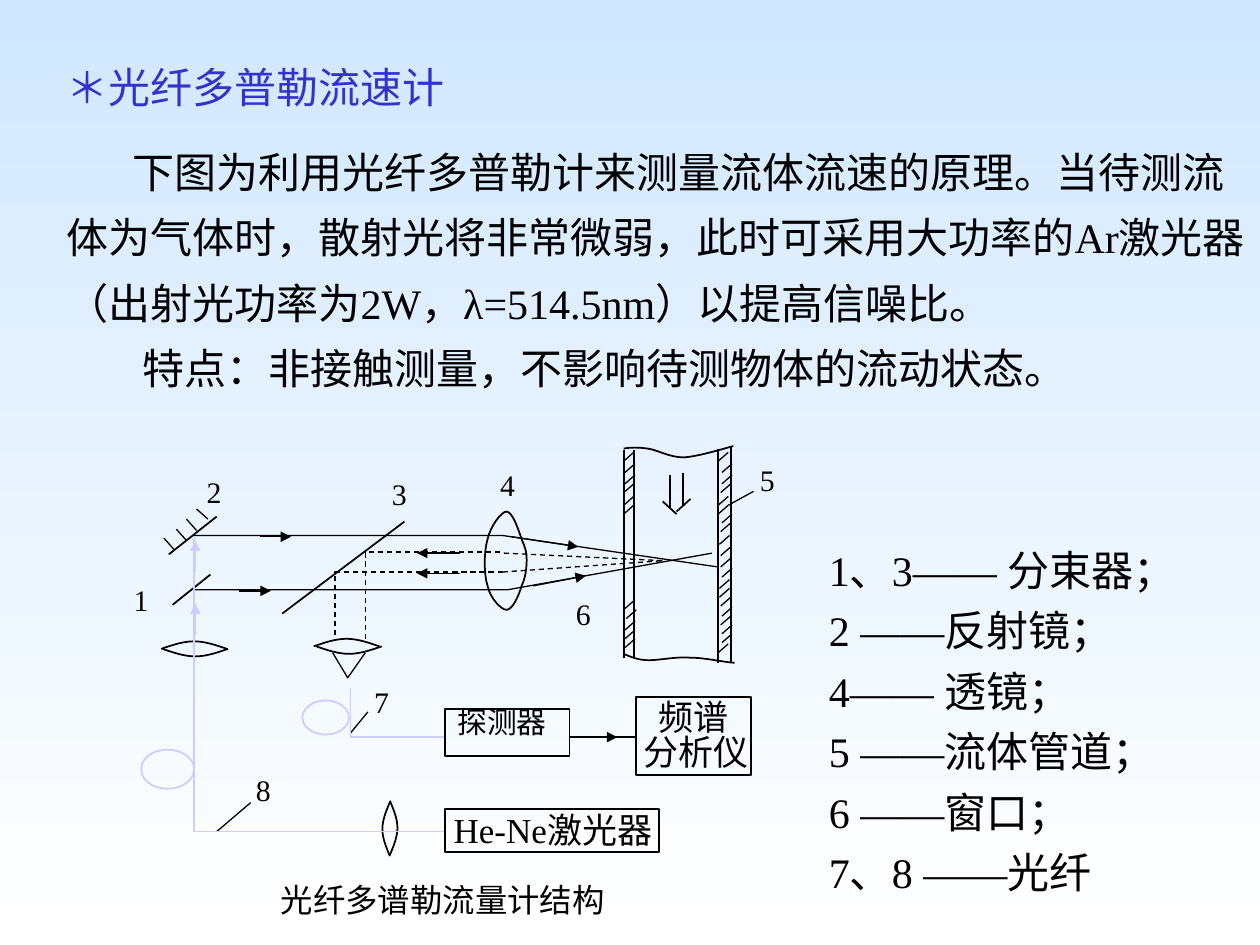
from typing import NamedTuple

from lxml.etree import SubElement
from pptx import Presentation
from pptx.dml.color import RGBColor
from pptx.enum.dml import MSO_LINE
from pptx.enum.shapes import MSO_CONNECTOR, MSO_SHAPE
from pptx.enum.text import MSO_AUTO_SIZE, PP_ALIGN
from pptx.oxml.ns import qn
from pptx.util import Inches, Pt

BLACK = RGBColor(0x00, 0x00, 0x00)
BLUE = RGBColor(0x33, 0x33, 0xCC)
FIBER = RGBColor(0xCC, 0xCC, 0xFF)
SKY = RGBColor(0xD1, 0xE8, 0xFF)
WHITE = RGBColor(0xFF, 0xFF, 0xFF)
FONT = "Times New Roman"
Point = tuple[float, float]


class Line(NamedTuple):
    x1: float
    y1: float
    x2: float
    y2: float
    width: float = 0.75
    color: RGBColor = BLACK
    arrow: bool = False
    dash: bool = False


class Outline(NamedTuple):
    points: list[Point]
    color: RGBColor = BLACK
    dash: bool = False
    width: float = 0.75


class Box(NamedTuple):
    kind: MSO_SHAPE
    x: float
    y: float
    w: float
    h: float
    color: RGBColor = BLACK


class Label(NamedTuple):
    text: str
    x: float
    y: float
    w: float = 0.19
    h: float = 0.31
    size: float = 17
    spacing: float = 0.9


class Arc(NamedTuple):
    """Half a lens; side 1 bulges up, -1 bulges down."""
    x: float
    y: float
    side: int
    length: float = 0.52
    rotation: float = 0


def style_line(line, color: RGBColor, width: float, dash: bool = False) -> None:
    line.color.rgb = color
    line.width = Pt(width)
    if dash:
        line.dash_style = MSO_LINE.DASH


def draw_line(shapes, item: Line) -> None:
    ends = map(Inches, (item.x1, item.y1, item.x2, item.y2))
    c = shapes.add_connector(MSO_CONNECTOR.STRAIGHT, *ends)
    style_line(c.line, item.color, item.width, item.dash)
    if item.arrow:
        SubElement(c.line._get_or_add_ln(), qn("a:tailEnd"), type="triangle")
    SubElement(c._element.spPr, qn("a:effectLst"))


def draw_outline(shapes, item: Outline, closed: bool = False):
    pts = [(Inches(x), Inches(y)) for x, y in item.points]
    builder = shapes.build_freeform(*pts[0])
    builder.add_line_segments(pts[1:], close=closed)
    sp = builder.convert_to_shape()
    sp.fill.background()
    sp.shadow.inherit = False
    style_line(sp.line, item.color, item.width, item.dash)
    return sp


def draw_curve(shapes, knots: list[Point], closed: bool = False):
    """Draw a chain of cubic curves: a start, then two handles and an end each."""
    sp = draw_outline(shapes, Outline(knots, width=1), closed)
    segments = list(sp._element.iter(qn("a:lnTo")))
    for i in range(0, len(segments), 3):
        cubic = segments[i].getparent().makeelement(qn("a:cubicBezTo"))
        segments[i].addprevious(cubic)
        for segment in segments[i:i + 3]:
            cubic.append(segment[0])
            segment.getparent().remove(segment)
    return sp


def draw_arc(shapes, arc: Arc) -> None:
    step = arc.side * arc.length / 6
    rises = (0, 0.03, 0.06, 0.06, 0.06, 0.03, 0)
    knots = [(arc.x + i * step, arc.y - arc.side * rise) for i, rise in enumerate(rises)]
    draw_curve(shapes, knots).rotation = arc.rotation


def draw_box(shapes, item: Box) -> None:
    sp = shapes.add_shape(item.kind, *map(Inches, item[1:5]))
    sp.fill.background()
    sp.shadow.inherit = False
    style_line(sp.line, item.color, 1)


def set_font(p, size: float, color: RGBColor) -> None:
    p.font.name, p.font.size = FONT, Pt(size)
    p.font.color.rgb = color


def draw_label(shapes, item: Label) -> None:
    tf = shapes.add_textbox(*map(Inches, item[1:5])).text_frame
    tf.word_wrap = True
    tf.margin_left = tf.margin_right = tf.margin_top = tf.margin_bottom = 0
    p = tf.paragraphs[0]
    p.text = item.text
    p.alignment = PP_ALIGN.JUSTIFY
    p.line_spacing = item.spacing
    set_font(p, item.size, BLACK)


def draw_text(shapes, at: tuple, lines: list[str], spacing: float,
              color: RGBColor = BLACK, indents: tuple = ()) -> None:
    tf = shapes.add_textbox(*map(Inches, at)).text_frame
    tf.word_wrap = True
    tf.auto_size = MSO_AUTO_SIZE.SHAPE_TO_FIT_TEXT
    for i, text in enumerate(lines):
        p = tf.add_paragraph() if i else tf.paragraphs[0]
        p.text = text
        p.line_spacing = spacing
        if indents:
            p._p.get_or_add_pPr().set("indent", str(Inches(indents[i])))
        set_font(p, 24, color)


TITLE = ["＊光纤多普勒流速计"]
BODY = [
    "下图为利用光纤多普勒计来测量流体流速的原理。当待测流体为气体时，散射光将非常微弱，"
    "此时可采用大功率的Ar激光器（出射光功率为2W，λ=514.5nm）以提高信噪比。",
    "特点：非接触测量，不影响待测物体的流动状态。",
]
LEGEND = ["1、3—— 分束器；", "2 ——反射镜；", "4—— 透镜；",
          "5 ——流体管道；", "6 ——窗口；", "7、8 ——光纤"]

# Lower ends of the wall hatching
HATCHES = [
    (5.7, 3.66), (5.73, 3.75), (5.73, 3.84), (5.72, 3.91), (5.7, 4.01), (5.7, 4.08),
    (5.73, 4.15), (5.72, 4.22), (5.71, 4.32), (5.72, 4.41), (5.72, 4.5), (5.73, 4.58),
    (5.71, 4.67), (5.71, 4.74), (5.72, 4.81), (5.73, 4.89), (5.72, 4.96), (5.73, 5.03),
    (5.73, 5.1), (5.7, 5.18),
    (4.95, 3.66), (4.96, 3.75), (4.96, 3.84), (4.95, 3.91), (4.95, 4.01), (4.95, 4.08),
    (4.96, 4.83), (4.97, 4.91), (4.96, 5), (4.96, 5.07), (4.96, 5.14),
]
LINES = [
    # Pipe walls and flow arrow
    Line(4.95, 3.57, 4.95, 5.22, 1), Line(5.03, 3.57, 5.03, 5.22, 1),
    Line(5.7, 3.56, 5.7, 5.26, 1), Line(5.8, 3.55, 5.8, 5.25, 1),
    Line(5.48, 3.96, 5.37, 4.06, 1), Line(5.37, 4.08, 5.26, 3.98, 1),
    Line(5.32, 3.77, 5.32, 4.03, 1), Line(5.42, 3.75, 5.42, 4.01, 1),
    # Beam splitters and mirror
    Line(3.21, 4.14, 2.24, 4.87, 1), Line(1.67, 4.56, 1.37, 4.8, 1),
    Line(1.72, 4.1, 1.34, 4.4, 1),
    Line(1.56, 4.04, 1.65, 4.12), Line(1.48, 4.12, 1.56, 4.21),
    Line(1.4, 4.2, 1.48, 4.29), Line(1.3, 4.27, 1.38, 4.36),
    # Scattered light and detector link
    Line(3.99, 4.54, 5.26, 4.45, dash=True), Line(4.52, 5.85, 5.05, 5.85),
    # Leaders
    Line(1.99, 6.37, 1.72, 6.6), Line(2.92, 5.65, 2.78, 5.82), Line(5.98, 3.9, 5.78, 4.01),
]
ARROWS = [
    (4.65, 5.85, 4.9, 5.85), (2.06, 4.26, 2.31, 4.26), (1.9, 4.69, 2.15, 4.69),
    (3.65, 4.39, 3.31, 4.39), (3.65, 4.55, 3.31, 4.55),
    (4.06, 4.26, 4.59, 4.34), (4.23, 4.65, 4.65, 4.57),
]
FIBER_ARROWS = [(1.55, 4.54, 1.55, 4.29), (1.55, 5.04, 1.55, 4.79)]
# Light beams and fibres
OUTLINES = [
    Outline([(3.97, 4.38), (2.9, 4.38), (2.9, 5.07)], dash=True),
    Outline([(3.99, 4.54), (2.66, 4.54), (2.66, 5.09)], dash=True),
    Outline([(4, 4.39), (5.26, 4.45)], dash=True),
    Outline([(1.54, 4.25), (3.99, 4.25), (5.7, 4.5)]),
    Outline([(1.54, 4.68), (4.03, 4.68), (5.65, 4.39)]),
    Outline([(2.9, 5.18), (2.76, 5.38), (2.64, 5.18)]),
    Outline([(3.53, 6.6), (1.54, 6.6), (1.54, 4.25)], FIBER),
    Outline([(3.53, 5.85), (2.78, 5.85), (2.78, 5.46)], FIBER),
]
PIPE_ENDS = [
    [(4.95, 3.56), (5.01, 3.55), (5.06, 3.55), (5.14, 3.56), (5.22, 3.57), (5.31, 3.63),
     (5.43, 3.63), (5.54, 3.62), (5.68, 3.58), (5.82, 3.54)],
    [(4.95, 5.19), (5, 5.21), (5.06, 5.24), (5.15, 5.24), (5.24, 5.24), (5.37, 5.21),
     (5.48, 5.22), (5.6, 5.22), (5.77, 5.26), (5.83, 5.26)],
]
BIG_LENS = [
    (4.02, 4.06), (3.98, 4.06), (3.89, 4.18), (3.87, 4.28), (3.84, 4.38), (3.84, 4.56),
    (3.87, 4.65), (3.89, 4.75), (3.98, 4.84), (4.02, 4.84), (4.07, 4.84), (4.12, 4.72),
    (4.14, 4.65), (4.17, 4.59), (4.18, 4.51), (4.18, 4.44), (4.18, 4.38), (4.17, 4.35),
    (4.14, 4.28), (4.12, 4.22), (4.07, 4.06), (4.02, 4.06),
]
ARCS = [
    Arc(1.28, 5.15, 1), Arc(1.81, 5.15, -1), Arc(2.49, 5.13, 1), Arc(3.03, 5.13, -1),
    Arc(2.85, 6.61, 1, 0.43, 270), Arc(3.34, 6.54, -1, 0.43, 270),
]
BOXES = [
    Box(MSO_SHAPE.RECTANGLE, 3.53, 5.63, 0.99, 0.37), Box(MSO_SHAPE.RECTANGLE, 5.05, 5.53, 0.91, 0.62),
    Box(MSO_SHAPE.RECTANGLE, 3.53, 6.42, 1.7, 0.34),
    Box(MSO_SHAPE.OVAL, 2.4, 5.56, 0.37, 0.27, FIBER), Box(MSO_SHAPE.OVAL, 1.12, 5.95, 0.42, 0.31, FIBER),
]
LABELS = [
    Label("光纤多谱勒流量计结构", 2.23, 7.02, 3.15, 0.33, 18.5),
    Label("探测器", 3.63, 5.62, 1.08, 0.3),
    Label("频谱", 5.23, 5.52, 0.65, 0.34, 20, 1.0),
    Label("分析仪", 5.11, 5.8, 0.86, 0.39, 20, 1.0),
    Label("He-Ne激光器", 3.6, 6.42, 1.75, 0.35, 20, 1.0),
    Label("1", 1.06, 4.65), Label("2", 1.64, 3.79), Label("3", 3.11, 3.81), Label("4", 3.97, 3.74),
    Label("5", 6.03, 3.7), Label("6", 4.57, 4.76), Label("7", 2.97, 5.46), Label("8", 2.03, 6.16),
]


def main() -> None:
    prs = Presentation()
    prs.slide_width, prs.slide_height = Inches(10), Inches(7.5)
    s = prs.slides.add_slide(prs.slide_layouts[6])

    # Background
    fill = s.background.fill
    fill.gradient()
    fill.gradient_angle = 270
    for stop, color, position in zip(fill.gradient_stops, (SKY, WHITE), (0, 1)):
        stop.color.rgb, stop.position = color, position

    # Heading and body
    draw_text(s.shapes, (0.43, 0.36, 5.28, 0.58), TITLE, 1.2, BLUE)
    draw_text(s.shapes, (0.43, 0.99, 9.57, 2.18), BODY, 1.3, indents=(0.52, 0.6))

    # Diagram with its legend
    shapes = s.shapes.add_group_shape().shapes
    hatching = [Line(x, y, x + 0.08, y - 0.07) for x, y in HATCHES]
    arrows = [Line(*ends, arrow=True) for ends in ARROWS]
    arrows += [Line(*ends, color=FIBER, arrow=True) for ends in FIBER_ARROWS]
    for line in LINES + hatching + arrows:
        draw_line(shapes, line)
    for knots in PIPE_ENDS:
        draw_curve(shapes, knots)
    draw_curve(shapes, BIG_LENS, closed=True)
    for arc in ARCS:
        draw_arc(shapes, arc)
    for outline in OUTLINES:
        draw_outline(shapes, outline)
    for box in BOXES:
        draw_box(shapes, box)
    for label in LABELS:
        draw_label(shapes, label)
    draw_text(shapes, (6.48, 4.19, 3.23, 2.98), LEGEND, 1.2)

    prs.save("out.pptx")


if __name__ == "__main__":
    main()
